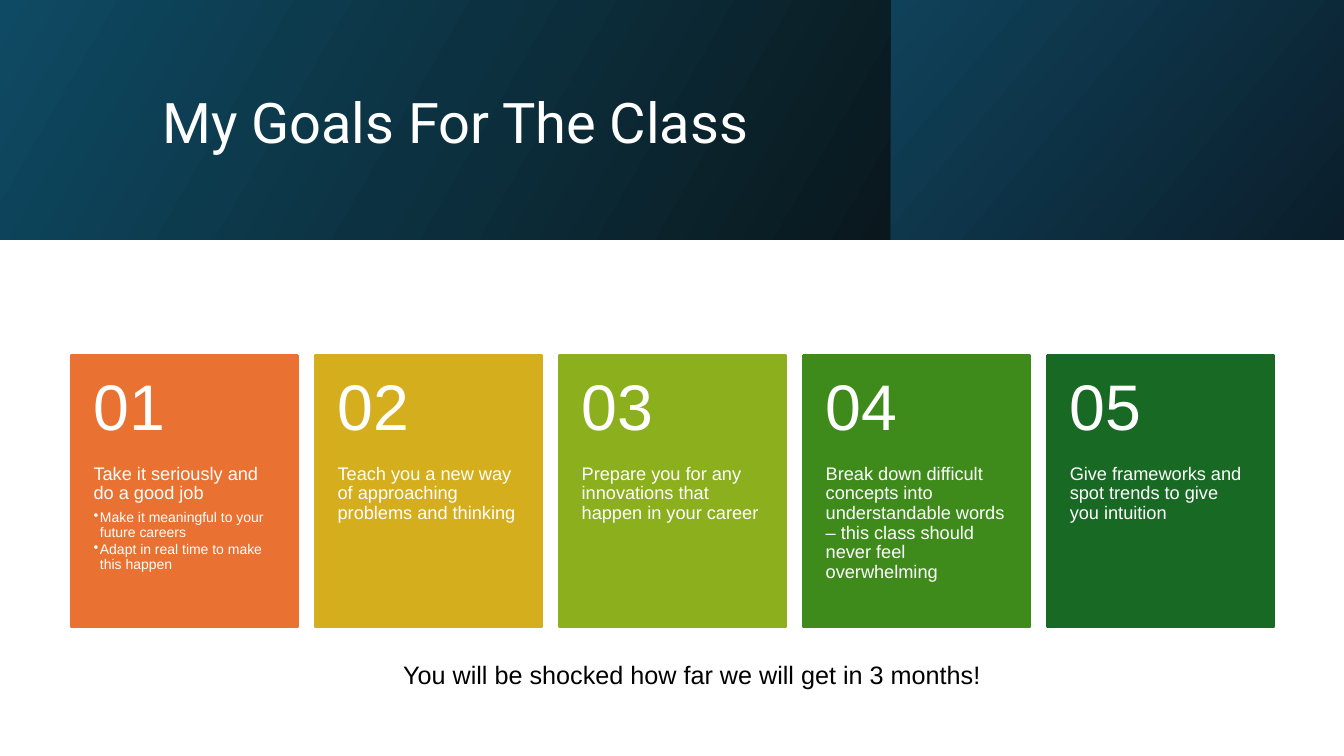
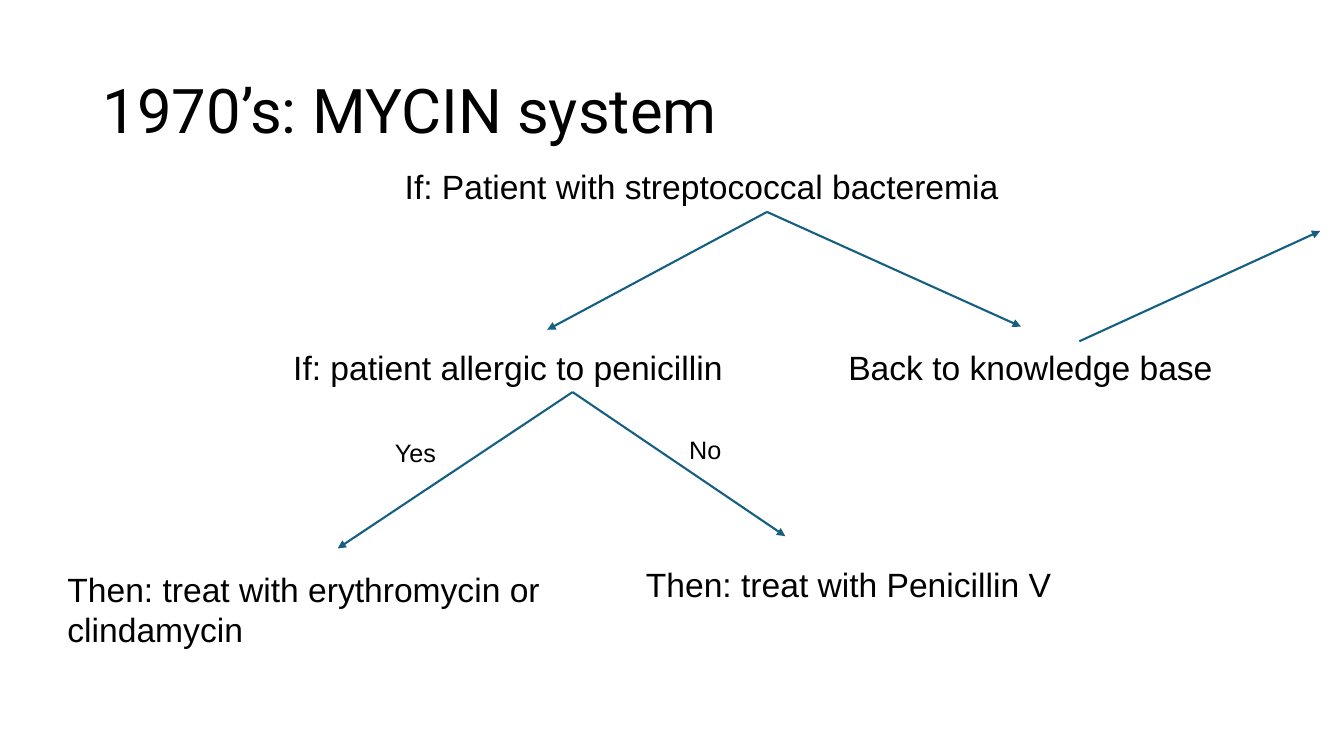
from lxml import etree
from pptx import Presentation
from pptx.dml.color import RGBColor
from pptx.enum.shapes import MSO_CONNECTOR, MSO_SHAPE
from pptx.enum.text import MSO_ANCHOR
from pptx.oxml.ns import qn
from pptx.util import Cm, Pt

RECT = MSO_SHAPE.RECTANGLE
STRAIGHT = MSO_CONNECTOR.STRAIGHT
TOP, MIDDLE = MSO_ANCHOR.TOP, MSO_ANCHOR.MIDDLE

WHITE = RGBColor(0xFF, 0xFF, 0xFF)
BLACK = RGBColor(0x00, 0x00, 0x00)
TEAL = RGBColor(0x15, 0x60, 0x82)
BAND_LEFT = (RGBColor(0x0E, 0x4A, 0x63), RGBColor(0x0A, 0x18, 0x1D))
BAND_RIGHT = (RGBColor(0x0F, 0x42, 0x5A), RGBColor(0x0B, 0x1E, 0x2B))
ORANGE = RGBColor(0xE9, 0x71, 0x31)
GOLD = RGBColor(0xD5, 0xAE, 0x1D)
LIME = RGBColor(0x8C, 0xAF, 0x1D)
GREEN = RGBColor(0x3E, 0x8B, 0x1B)
FOREST = RGBColor(0x18, 0x69, 0x23)

BODY_FONT, TITLE_FONT = "Arial", "Roboto"
INSETS = (0.25, 0.13, 0.25, 0.13)
NUMBER_INSETS = (0.56, 0.46, 0.56, 0.46)
GOAL_INSETS = (0.56, 0, 0.56, 0.91)

CARD_LEFT, CARD_TOP, CARD_PITCH = 1.8, 8.96, 6.15
CARD_W, CARD_H, NUMBER_H = 5.7, 6.84, 2.74
GOALS = [
    (ORANGE, "Take it seriously and do a good job",
     ["Make it meaningful to your future careers",
      "Adapt in real time to make this happen"]),
    (GOLD, "Teach you a new way of approaching problems and thinking", []),
    (LIME, "Prepare you for any innovations that happen in your career", []),
    (GREEN, "Break down difficult concepts into understandable words "
            "– this class should never feel overwhelming", []),
    (FOREST, "Give frameworks and spot trends to give you intuition", []),
]

RULES = [
    (9.95, 4.06, 18.75, "If: Patient with streptococcal bacteremia"),
    (7.14, 8.6, 14.6, "If: patient allergic to penicillin"),
    (21.13, 8.6, 12.14, "Back to knowledge base"),
    (1.45, 14.2, 12.98, "Then: treat with erythromycin or clindamycin"),
    (16.03, 14.07, 12.98, "Then: treat with Penicillin V"),
]
ANSWERS = [(9.7, 10.9, "Yes"), (17.12, 10.82, "No")]
BACTEREMIA, ALLERGY, KNOWLEDGE = (19.33, 5.34), (14.43, 9.88), (27.2, 8.6)
ARROWS = [
    (BACTEREMIA, (13.79, 8.31)),
    (BACTEREMIA, (25.73, 8.23)),
    (KNOWLEDGE, (33.27, 5.82)),
    (ALLERGY, (8.51, 13.82)),
    (ALLERGY, (19.79, 13.51)),
]


class Deck:
    def __init__(self):
        self.prs = Presentation()
        self.prs.slide_width, self.prs.slide_height = Cm(33.87), Cm(19.05)
        self.s = None

    def slide(self):
        self.s = self.prs.slides.add_slide(self.prs.slide_layouts[6])

    def rect(self, x, y, w, h, color=None):
        sp = self.s.shapes.add_shape(RECT, Cm(x), Cm(y), Cm(w), Cm(h))
        sp.shadow.inherit = False
        if color is None:
            sp.line.fill.background()
        else:
            sp.fill.solid()
            sp.fill.fore_color.rgb = color
            sp.line.color.rgb = color
            sp.line.width = Pt(1.5)
        return sp

    def band(self, x, w, colors, angle):
        fill = self.rect(x, 0, w, 6.03).fill
        fill.gradient()
        fill.gradient_angle = angle
        for stop, color in zip(fill.gradient_stops, colors):
            stop.color.rgb = color

    def text(self, x, y, w, h, text, size, color=BLACK, font=BODY_FONT,
             anchor=TOP, insets=INSETS, spacing=1.0):
        tf = self.s.shapes.add_textbox(Cm(x), Cm(y), Cm(w), Cm(h)).text_frame
        tf.word_wrap = True
        tf.vertical_anchor = anchor
        (tf.margin_left, tf.margin_top,
         tf.margin_right, tf.margin_bottom) = map(Cm, insets)
        self.run(tf.paragraphs[0], text, size, color, font, spacing)
        return tf

    def run(self, p, text, size, color, font=BODY_FONT, spacing=1.0):
        p.line_spacing = spacing
        r = p.add_run()
        r.text = text
        r.font.size = Pt(size)
        r.font.name = font
        r.font.color.rgb = color

    def bullet(self, tf, text, before):
        p = tf.add_paragraph()
        p.level = 1
        pPr = p._p.get_or_add_pPr()
        pPr.set("marL", str(Cm(0.16)))
        pPr.set("indent", str(-Cm(0.16)))
        etree.SubElement(pPr, qn("a:buChar"), char="•")
        p.space_before = Pt(before)
        self.run(p, text, 10, WHITE, spacing=0.9)

    def title(self, x, y, w, h, text, size, color):
        self.text(x, y, w, h, text, size, color, TITLE_FONT, MIDDLE,
                  spacing=0.9)

    def card(self, index, color, goal, points):
        x = CARD_LEFT + index * CARD_PITCH
        self.rect(x, CARD_TOP, CARD_W, CARD_H, color)
        self.text(x, CARD_TOP, CARD_W, NUMBER_H, f"{index + 1:02}", 46, WHITE,
                  anchor=MIDDLE, insets=NUMBER_INSETS, spacing=0.9)
        tf = self.text(x, CARD_TOP + NUMBER_H, CARD_W, CARD_H - NUMBER_H, goal,
                       13, WHITE, insets=GOAL_INSETS, spacing=0.9)
        for i, point in enumerate(points):
            self.bullet(tf, point, 1.5 if i else 4.5)

    def arrow(self, start, end):
        c = self.s.shapes.add_connector(STRAIGHT, *map(Cm, start + end))
        c.line.color.rgb = TEAL
        c.line.width = Pt(1.5)
        etree.SubElement(c.line._get_or_add_ln(), qn("a:tailEnd"),
                         type="triangle")
        etree.SubElement(c._element.spPr, qn("a:effectLst"))


def goals_slide(deck):
    deck.slide()
    deck.band(0, 22.45, BAND_LEFT, 330)
    deck.band(22.45, 11.42, BAND_RIGHT, 320)
    deck.title(3.84, 0.97, 27, 4.37, "My Goals For The Class", 40, WHITE)
    for i, goal in enumerate(GOALS):
        deck.card(i, *goal)
    deck.text(9.91, 16.48, 16.94, 1.02,
              "You will be shocked how far we will get in 3 months!", 18)


def mycin_slide(deck):
    deck.slide()
    deck.title(2.34, 1.02, 29.21, 3.68, "1970’s: MYCIN system", 44, BLACK)
    for x, y, w, rule in RULES:
        deck.text(x, y, w, 1.27, rule, 24)
    for x, y, answer in ANSWERS:
        deck.text(x, y, 3.56, 1.02, answer, 18)
    for start, end in ARROWS:
        deck.arrow(start, end)


def main():
    deck = Deck()
    goals_slide(deck)
    mycin_slide(deck)
    deck.prs.save("out.pptx")


if __name__ == "__main__":
    main()
